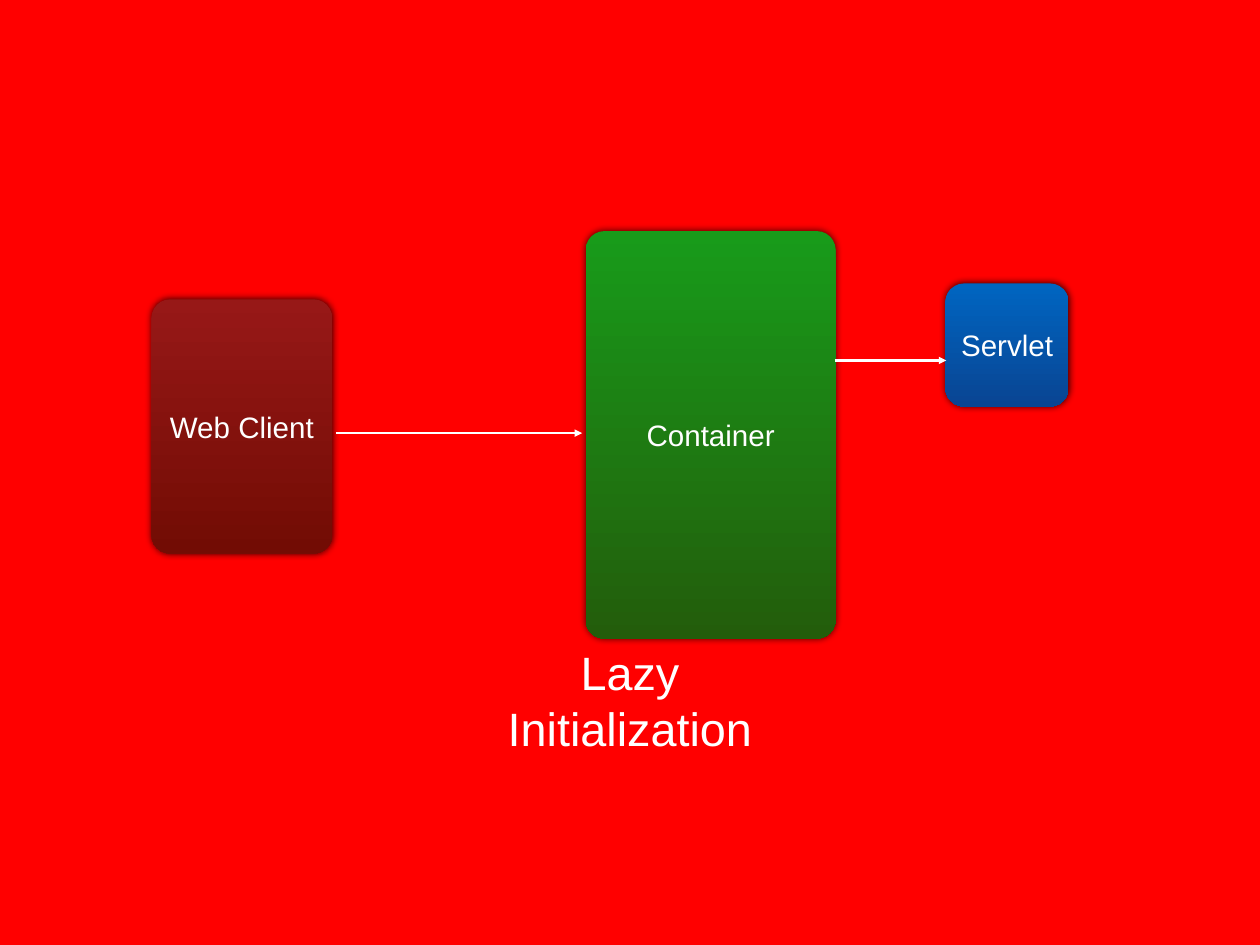
"""Build a slide showing lazy initialization of a servlet."""
from lxml import etree
from pptx import Presentation
from pptx.dml.color import RGBColor
from pptx.enum.shapes import MSO_CONNECTOR, MSO_SHAPE
from pptx.enum.text import MSO_ANCHOR, MSO_AUTO_SIZE, PP_ALIGN
from pptx.oxml.ns import qn
from pptx.util import Inches, Pt

ROUNDED = MSO_SHAPE.ROUNDED_RECTANGLE
STRAIGHT = MSO_CONNECTOR.STRAIGHT
MIDDLE = MSO_ANCHOR.MIDDLE
CENTER = PP_ALIGN.CENTER
NO_AUTOSIZE = MSO_AUTO_SIZE.NONE

WIDTH, HEIGHT = 14.22, 10.67
FONT = "Arial"
CORNER_RADIUS = 0.21
INSET = 0.06
COLORS = {
    "background": "FF0000",
    "white": "FFFFFF",
    "shadow": "000000",
    "container": ("189B1A", "235D0B"),
    "servlet": ("0065C1", "094593"),
    "client": ("971817", "720C04"),
}

TITLE = ("Lazy Initialization", (5.04, 7.53, 4.14, 0.75))
BOXES = [
    ("Container", "container", (6.61, 2.61, 2.82, 4.6)),
    ("Servlet", "servlet", (10.67, 3.2, 1.39, 1.39)),
    ("Web Client", "client", (1.71, 3.38, 2.04, 2.87)),
]
ARROWS = [(9.42, 10.68, 4.07), (3.79, 6.57, 4.89)]


def write_text(shape, text, size=24, color="white", wrap=True):
    """Write one centred line of text into a shape."""
    frame = shape.text_frame
    frame.text = text
    frame.auto_size = NO_AUTOSIZE
    frame.word_wrap = wrap
    frame.vertical_anchor = MIDDLE
    frame.margin_left = frame.margin_right = Inches(INSET)
    frame.margin_top = frame.margin_bottom = Inches(INSET)
    paragraph = frame.paragraphs[0]
    paragraph.alignment = CENTER
    font = paragraph.runs[0].font
    font.name = FONT
    font.size = Pt(size)
    font.color.rgb = RGBColor.from_string(COLORS[color])


def add_glow_shadow(shape):
    """Give a shape a soft shadow on all sides."""
    shape.shadow.inherit = False
    effects = shape._element.spPr.find(qn("a:effectLst"))
    shadow = etree.SubElement(effects, qn("a:outerShdw"), blurRad=str(Pt(6)),
                              dist="0", dir=str(315 * 60000), rotWithShape="0")
    color = etree.SubElement(shadow, qn("a:srgbClr"), val=COLORS["shadow"])
    etree.SubElement(color, qn("a:alpha"), val="80000")


def add_box(slide, text, color, place):
    """Add a rounded box with a top-to-bottom gradient."""
    shape = slide.shapes.add_shape(ROUNDED, *map(Inches, place))
    shape.adjustments[0] = CORNER_RADIUS / min(place[2:])
    shape.fill.gradient()
    shape.fill.gradient_angle = 270
    for stop, value in zip(shape.fill.gradient_stops, COLORS[color]):
        stop.color.rgb = RGBColor.from_string(value)
    shape.line.fill.background()
    add_glow_shadow(shape)
    write_text(shape, text)


def add_arrow(slide, start, end, level):
    """Add a horizontal arrow pointing right."""
    arrow = slide.shapes.add_connector(STRAIGHT, *map(Inches, (start, level, end, level)))
    arrow.line.width = Pt(2)
    arrow.line.color.rgb = RGBColor.from_string(COLORS["white"])
    properties = arrow._element.spPr
    etree.SubElement(properties.find(qn("a:ln")), qn("a:tailEnd"), type="triangle")
    etree.SubElement(properties, qn("a:effectLst"))


presentation = Presentation()
presentation.slide_width, presentation.slide_height = Inches(WIDTH), Inches(HEIGHT)
slide = presentation.slides.add_slide(presentation.slide_layouts[5])
slide.background.fill.solid()
slide.background.fill.fore_color.rgb = RGBColor.from_string(COLORS["background"])

for box in BOXES:
    add_box(slide, *box)
for arrow_place in ARROWS:
    add_arrow(slide, *arrow_place)

title_text, title_place = TITLE
title = slide.shapes.title
title.left, title.top, title.width, title.height = map(Inches, title_place)
write_text(title, title_text, size=38, wrap=False)

presentation.save("out.pptx")
